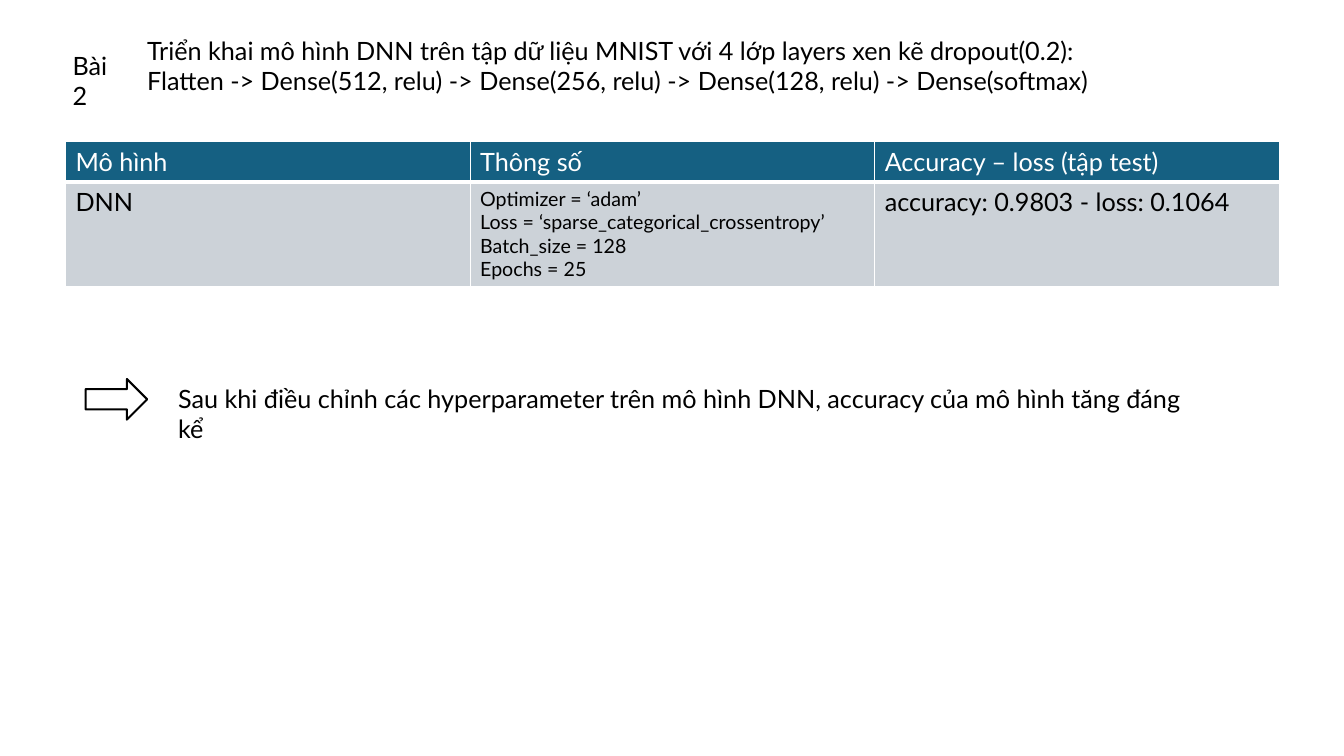
from dataclasses import dataclass

from lxml.etree import SubElement
from pptx import Presentation
from pptx.dml.color import RGBColor
from pptx.enum.shapes import MSO_SHAPE
from pptx.oxml.ns import qn
from pptx.util import Pt


@dataclass(frozen=True)
class Theme:
    font: str = "Lato"
    body_size: float = 18
    detail_size: float = 14
    ink: str = "000000"
    paper: str = "FFFFFF"
    header_fill: str = "156082"
    row_fill: str = "CCD2D8"
    outline: float = 1.5
    thin_border: float = 1
    thick_border: float = 3


THEME = Theme()


def style_text(text_frame, size, color):
    for paragraph in text_frame.paragraphs:
        for run in paragraph.runs:
            run.font.name = THEME.font
            run.font.size = Pt(size)
            run.font.color.rgb = RGBColor.from_string(color)


def add_label(slide, text, left, top, width, height):
    label = slide.shapes.add_textbox(Pt(left), Pt(top), Pt(width), Pt(height))
    label.text_frame.word_wrap = True
    label.text_frame.text = text
    style_text(label.text_frame, THEME.body_size, THEME.ink)


def set_borders(cell, bottom_width):
    properties = cell._tc.get_or_add_tcPr()
    for side in ("lnL", "lnR", "lnT", "lnB"):
        width = bottom_width if side == "lnB" else THEME.thin_border
        border = SubElement(properties, qn(f"a:{side}"), w=str(Pt(width)))
        fill = SubElement(border, qn("a:solidFill"))
        SubElement(fill, qn("a:srgbClr"), val=THEME.paper)


def fill_cell(cell, text, size, color, fill, bottom_width):
    cell.text_frame.text = text
    style_text(cell.text_frame, size, color)
    set_borders(cell, bottom_width)
    cell.fill.solid()
    cell.fill.fore_color.rgb = RGBColor.from_string(fill)


def add_heading(slide, left, top, width, height):
    add_label(slide, "Bài 2", left, top + 10.8, 52.5, 29)
    add_label(
        slide,
        "Triển khai mô hình DNN trên tập dữ liệu MNIST với 4 lớp layers xen kẽ dropout(0.2):\v"
        "Flatten -> Dense(512, relu) -> Dense(256, relu) -> Dense(128, relu) -> Dense(softmax)",
        left + 53.2, top, width - 53.2, height,
    )


def add_results(slide, left, top, width, height):
    headers = ["Mô hình", "Thông số", "Accuracy – loss (tập test)"]
    parameters = [
        "Optimizer = ‘adam’",
        "Loss = ‘sparse_categorical_crossentropy’",
        "Batch_size = 128",
        "Epochs = 25",
    ]
    results = [
        ("DNN", THEME.body_size),
        ("\n".join(parameters), THEME.detail_size),
        ("accuracy: 0.9803 - loss: 0.1064", THEME.body_size),
    ]
    header_height = 29.2
    table = slide.shapes.add_table(
        2, len(headers), Pt(left), Pt(top), Pt(width), Pt(height)
    ).table
    table.rows[0].height = Pt(header_height)
    table.rows[1].height = Pt(height - header_height)
    for column, (header, (result, size)) in enumerate(zip(headers, results)):
        table.columns[column].width = Pt(width / len(headers))
        fill_cell(table.cell(0, column), header, THEME.body_size, THEME.paper,
                  THEME.header_fill, THEME.thick_border)
        fill_cell(table.cell(1, column), result, size, THEME.ink,
                  THEME.row_fill, THEME.thin_border)


def add_conclusion(slide, left, top, width, height):
    arrow = slide.shapes.add_shape(
        MSO_SHAPE.RIGHT_ARROW, Pt(left), Pt(top + 0.5), Pt(44), Pt(height)
    )
    arrow.shadow.inherit = False
    arrow.fill.solid()
    arrow.fill.fore_color.rgb = RGBColor.from_string(THEME.paper)
    arrow.line.color.rgb = RGBColor.from_string(THEME.ink)
    arrow.line.width = Pt(THEME.outline)
    add_label(
        slide,
        "Sau khi điều chỉnh các hyperparameter trên mô hình DNN, "
        "accuracy của mô hình tăng đáng kể",
        left + 59, top, width - 59, height,
    )


def main():
    presentation = Presentation()
    presentation.slide_width = Pt(960)
    presentation.slide_height = Pt(540)
    slide = presentation.slides.add_slide(presentation.slide_layouts[6])
    add_heading(slide, 44.8, 21.6, 838, 51)
    add_results(slide, 46.8, 100.8, 867, 103.7)
    add_conclusion(slide, 61.2, 270.2, 799, 29)
    presentation.save("out.pptx")


if __name__ == "__main__":
    main()
